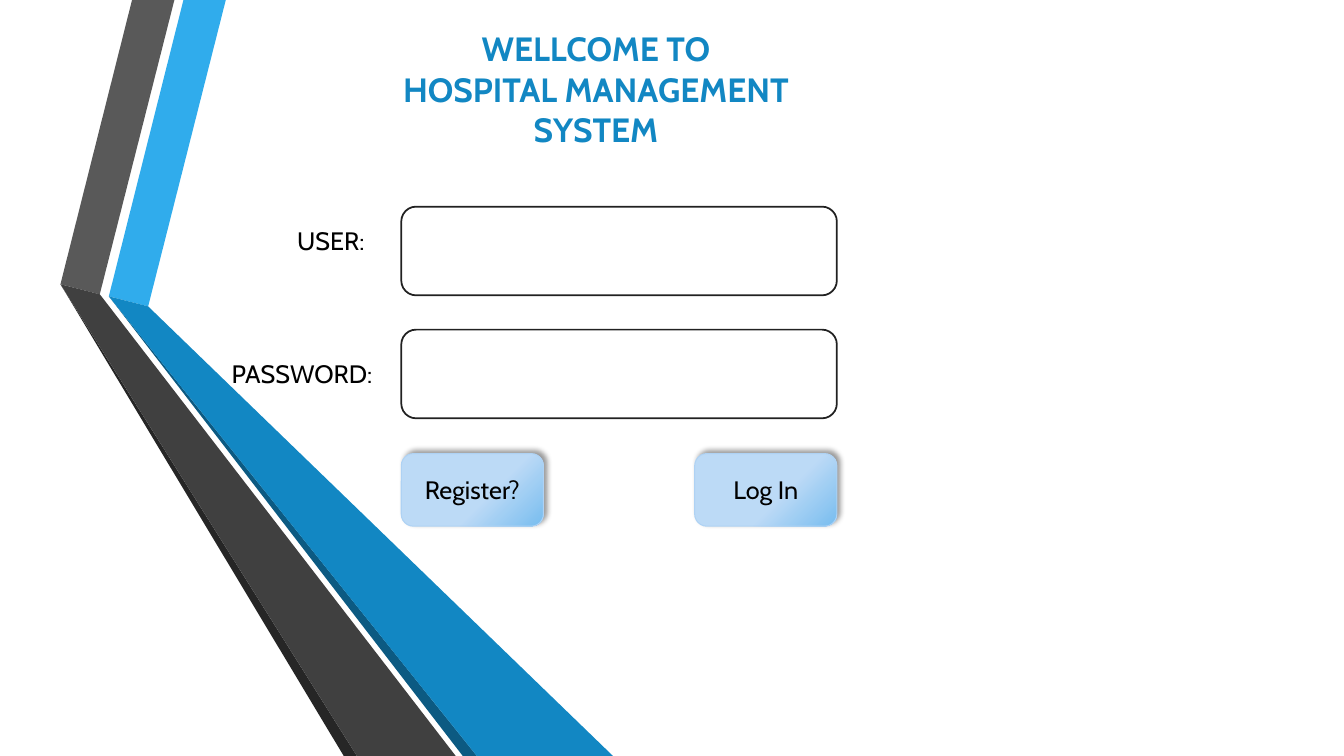
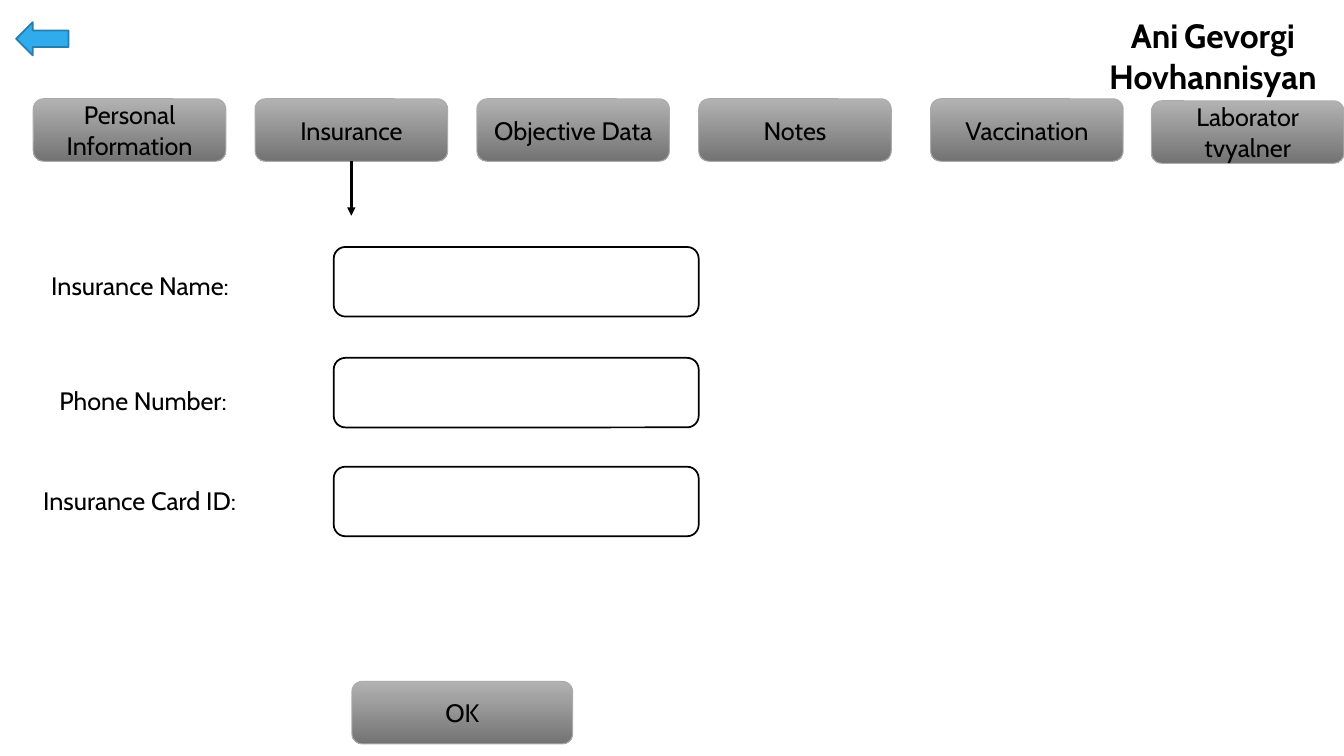
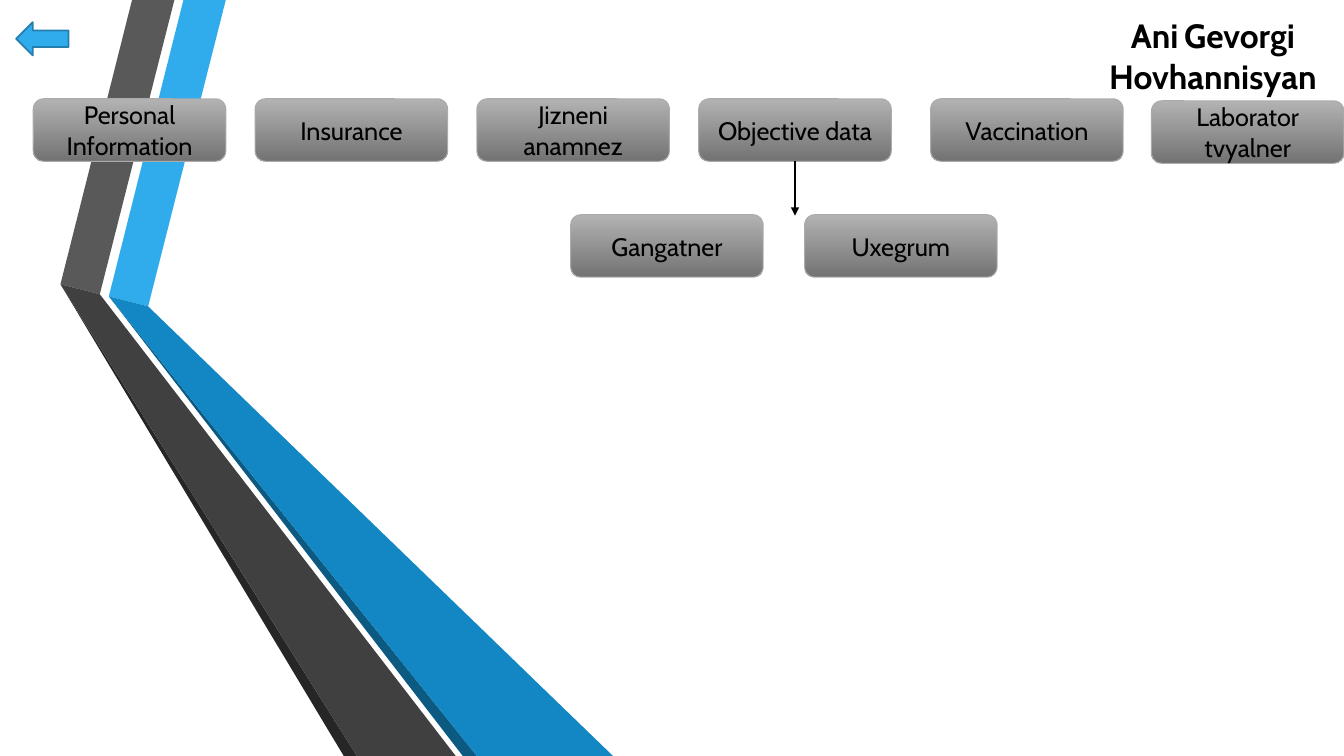
from pptx import Presentation
from pptx.dml.color import RGBColor
from pptx.enum.dml import MSO_FILL
from pptx.enum.shapes import MSO_CONNECTOR, MSO_SHAPE
from pptx.enum.text import MSO_ANCHOR, MSO_AUTO_SIZE, PP_ALIGN
from pptx.oxml.ns import qn
from pptx.util import Inches, Pt
from lxml import etree

STRAIGHT = MSO_CONNECTOR.STRAIGHT
ROUNDED = MSO_SHAPE.ROUNDED_RECTANGLE
SOFT = MSO_SHAPE.FLOWCHART_ALTERNATE_PROCESS
LEFT_ARROW = MSO_SHAPE.LEFT_ARROW
TOP, MIDDLE = MSO_ANCHOR.TOP, MSO_ANCHOR.MIDDLE
CENTER, LEFT = PP_ALIGN.CENTER, PP_ALIGN.LEFT
NO_AUTOFIT = MSO_AUTO_SIZE.NONE
BOTTOM_SIDE = 2

FONT = "Cabin"
BLACK = RGBColor(0x00, 0x00, 0x00)
WHITE = RGBColor(0xFF, 0xFF, 0xFF)
INK = RGBColor(0x21, 0x21, 0x21)
SKY = RGBColor(0x30, 0xAC, 0xEC)
SKY_EDGE = RGBColor(0x24, 0x7F, 0xAF)
BLUE = RGBColor(0x12, 0x87, 0xC3)
DEEP_BLUE = RGBColor(0x0C, 0x5A, 0x82)
GRAY = RGBColor(0x59, 0x59, 0x59)
DARK_GRAY = RGBColor(0x40, 0x40, 0x40)
DARKEST_GRAY = RGBColor(0x26, 0x26, 0x26)
TAB_LIGHT = RGBColor(0xB2, 0xB2, 0xB2)
TAB_DARK = RGBColor(0x73, 0x73, 0x73)
TAB_EDGE = RGBColor(0xAB, 0xAB, 0xAB)
BUTTON_LIGHT = RGBColor(0xBC, 0xDA, 0xF6)
BUTTON_DARK = RGBColor(0x78, 0xBD, 0xEF)
BUTTON_EDGE = RGBColor(0xAE, 0xD2, 0xF4)

TAB_SIZE = (1.91, 0.62)
TAB_PLACES = [(0, 0), (2.2, 0), (4.4, 0), (6.6, 0), (8.9, 0), (11.09, 0.02)]
PATIENT = [[("Ani", 24, True), (" ", 18, False), ("Gevorgi Hovhannisyan", 24, True)]]

RIBBON = [
    (SKY, [(0.48, 2.94), (0.87, 3.04), (1.64, 0), (1.22, 0)]),
    (GRAY, [(0.39, 2.92), (1.13, 0), (0.71, 0), (0, 2.82)]),
    (DARKEST_GRAY, [(0, 2.82), (2.81, 7.5), (2.94, 7.5)]),
    (DEEP_BLUE, [(4.13, 7.5), (0.48, 2.94), (3.99, 7.5)]),
    (BLUE, [(0.48, 2.94), (4.13, 7.5), (5.48, 7.5), (0.87, 3.04)]),
    (DARK_GRAY, [(3.92, 7.5), (0.46, 3.01), (0.39, 2.92), (0, 2.82), (2.94, 7.5)]),
]


def inches(*lengths):
    return [Inches(length) for length in lengths]


def write(shape, paragraphs, color=BLACK, align=LEFT, anchor=TOP):
    frame = shape.text_frame
    frame.word_wrap = True
    frame.auto_size = NO_AUTOFIT
    frame.vertical_anchor = anchor
    for index, spans in enumerate(paragraphs):
        para = frame.add_paragraph() if index else frame.paragraphs[0]
        para.alignment = align
        for text, size, bold in spans:
            span = para.add_run()
            span.text = text
            span.font.name = FONT
            span.font.size = Pt(size)
            span.font.bold = bold
            span.font.color.rgb = color


def add_title(page, box, paragraphs, color):
    title = page.shapes.title
    title.left, title.top, title.width, title.height = inches(*box)
    write(title, paragraphs, color, CENTER)


def add_label(page, box, text):
    label = page.shapes.add_textbox(*inches(*box))
    write(label, [[(text, 18, False)]])


def add_box(page, kind, box, fill, edge, weight):
    shape = page.shapes.add_shape(kind, *inches(*box))
    shape.shadow.inherit = False
    shape.fill.solid()
    shape.fill.fore_color.rgb = fill
    shape.line.color.rgb = edge
    shape.line.width = Pt(weight)
    return shape


def add_button(page, kind, box, text, stops, angle, edge):
    button = add_box(page, kind, box, WHITE, edge, 0.75)
    button.fill.gradient()
    button.fill.gradient_angle = angle
    for stop, (position, color) in zip(button.fill.gradient_stops, stops):
        stop.position = position
        stop.color.rgb = color
    write(button, [[(text, 18, False)]], align=CENTER, anchor=MIDDLE)
    return button


def add_gray_button(page, box, text):
    stops = [(0, TAB_LIGHT), (1, TAB_DARK)]
    return add_button(page, ROUNDED, box, text, stops, 270, TAB_EDGE)


def add_blue_button(page, box, text):
    stops = [(0.6, BUTTON_LIGHT), (1, BUTTON_DARK)]
    button = add_button(page, SOFT, box, text, stops, 315, BUTTON_EDGE)
    effects = button._element.spPr.find(qn("a:effectLst"))
    shadow = etree.SubElement(effects, qn("a:outerShdw"), blurRad=str(Pt(4)),
                              dist=str(Pt(3)), dir="18900000", rotWithShape="0")
    color = etree.SubElement(shadow, qn("a:srgbClr"), val=str(BLACK))
    etree.SubElement(color, qn("a:alpha"), val="40000")


def add_ribbon(page, left, top):
    group = page.shapes.add_group_shape()
    for color, points in RIBBON:
        outline = [tuple(inches(left + x, top + y)) for x, y in points]
        builder = group.shapes.build_freeform(*outline[0])
        builder.add_line_segments(outline[1:], close=True)
        band = builder.convert_to_shape()
        band.shadow.inherit = False
        band.fill.solid()
        band.fill.fore_color.rgb = color
        band.line.fill.background()


def add_form(page, left, top, field_size, kind, edge, rows):
    for text, field_top, label_left, label_top, label_width in rows:
        add_box(page, kind, (left, top + field_top, *field_size), WHITE, edge, 1.25)
        add_label(page, (left + label_left, top + label_top, label_width, 0.4), text)


def add_tabs(page, left, top, names, active):
    tabs = [add_gray_button(page, (left + x, top + y, *TAB_SIZE), name)
            for name, (x, y) in zip(names, TAB_PLACES)]
    start = tabs[active]
    middle = start.left + start.width // 2
    bottom = start.top + start.height
    arrow = page.shapes.add_connector(STRAIGHT, middle, bottom, middle, Inches(top + 1.16))
    arrow.begin_connect(start, BOTTOM_SIDE)
    arrow.line.color.rgb = BLACK
    arrow.line.width = Pt(1.75)
    etree.SubElement(arrow.line._get_or_add_ln(), qn("a:tailEnd"), type="triangle")
    etree.SubElement(arrow._element.spPr, qn("a:effectLst"))


def add_patient_header(page, names, active):
    add_title(page, (10.73, 0.1, 2.6, 0.91), PATIENT, BLACK)
    add_box(page, LEFT_ARROW, (0.16, 0.22, 0.52, 0.33), SKY, SKY_EDGE, 1.25)
    add_tabs(page, 0.33, 0.98, names, active)


def build_login(page):
    add_ribbon(page, 0.6, 0)
    heading = [[("WELLCOME TO", 24, True)], [("HOSPITAL MANAGEMENT SYSTEM", 24, True)]]
    add_title(page, (3.52, 0.23, 4.78, 1.31), heading, BLUE)
    add_form(page, 3.98, 2.05, (4.32, 0.88), SOFT, INK, [
        ("USER:", 0, -1.13, 0.14, 1.14),
        ("PASSWORD:", 1.22, -1.78, 1.46, 1.6),
    ])
    for left, text in [(3.98, "Register?"), (6.89, "Log In")]:
        add_blue_button(page, (left, 4.5, 1.41, 0.72), text)


def build_insurance(page):
    names = ["Personal Information", "Insurance", "Objective Data", "Notes",
             "Vaccination", "Laborator tvyalner"]
    add_patient_header(page, names, 1)
    add_form(page, 3.31, 2.45, (3.62, 0.69), ROUNDED, BLACK, [
        ("Insurance Name:", 0, -2.9, 0.18, 2.11),
        ("Phone Number:", 1.1, -2.82, 1.32, 2.11),
        ("Insurance Card ID:", 2.18, -2.98, 2.32, 2.11),
    ])
    add_gray_button(page, (3.49, 6.76, 2.19, 0.62), "OK")


def build_objective_data(page):
    add_ribbon(page, 0.6, 0)
    names = ["Personal Information", "Insurance", "Jizneni anamnez", "Objective data",
             "Vaccination", "Laborator tvyalner"]
    add_patient_header(page, names, 3)
    for left, text in [(5.66, "Gangatner"), (7.98, "Uxegrum")]:
        add_gray_button(page, (left, 2.13, *TAB_SIZE), text)


def main():
    deck = Presentation()
    deck.slide_width, deck.slide_height = inches(13.33, 7.5)
    title_only = deck.slide_layouts[5]
    for build in (build_login, build_insurance, build_objective_data):
        build(deck.slides.add_slide(title_only))
    deck.save("out.pptx")


if __name__ == "__main__":
    main()
